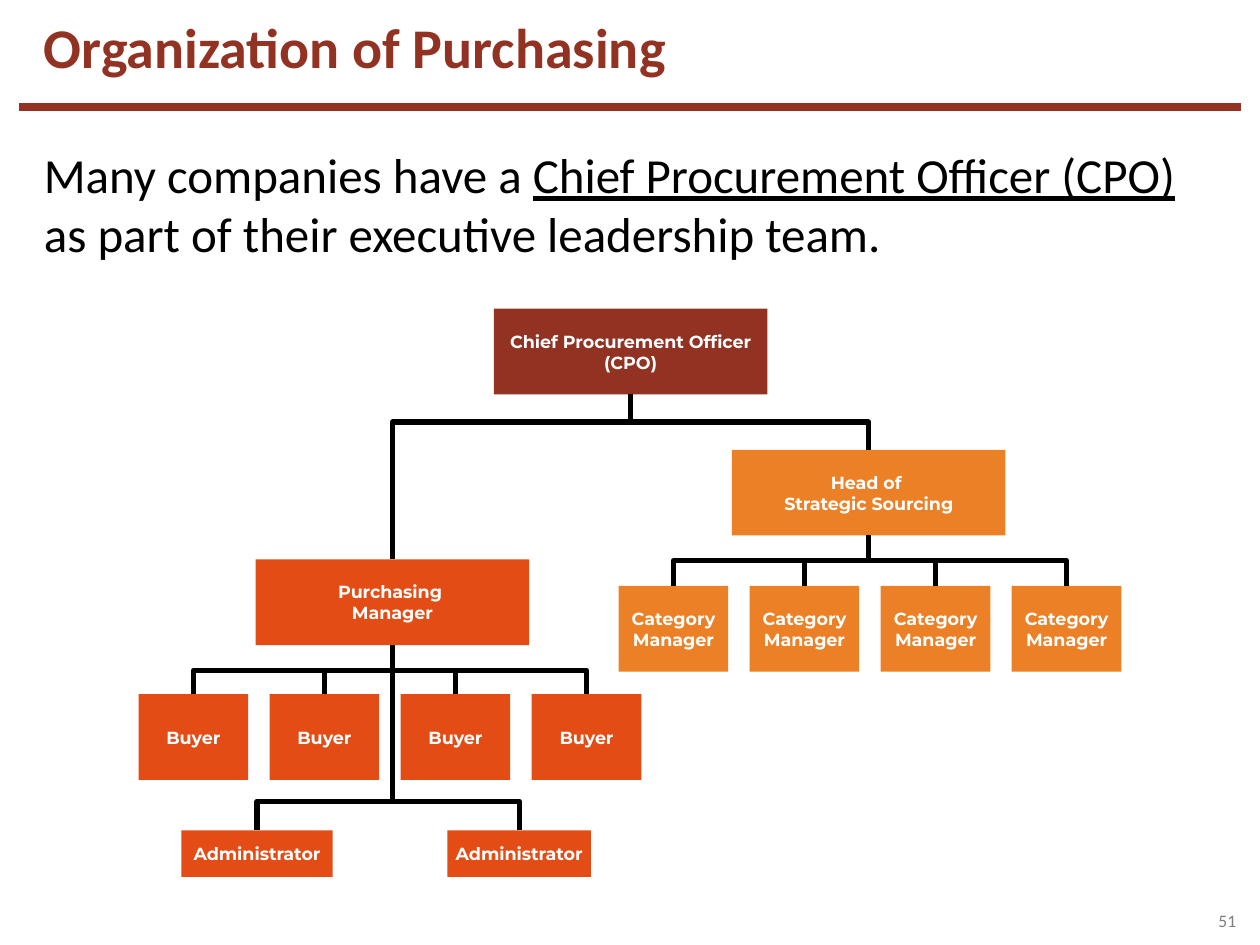
from dataclasses import dataclass

from lxml.etree import SubElement
from pptx import Presentation
from pptx.dml.color import RGBColor
from pptx.enum.shapes import MSO_CONNECTOR as Link, MSO_SHAPE as Preset
from pptx.enum.text import MSO_ANCHOR as Anchor, PP_ALIGN as Align
from pptx.oxml.ns import qn
from pptx.util import Inches, Pt

BRICK, ORANGE, RED = "923222", "EC8026", "E44C16"
BLACK, WHITE, GRAY = "000000", "FFFFFF", "7F7F7F"
TOP, BOTTOM = 0, 2  # connection sites of a rectangle

deck = Presentation()
deck.slide_width, deck.slide_height = Inches(10), Inches(7.5)
slide = deck.slides.add_slide(deck.slide_layouts[6])


@dataclass(frozen=True)
class Post:
    """A chart box, placed on a grid of 100 columns by 75 rows."""
    title: str
    col: float
    row: float
    cols: float
    rows: float
    color: str


def grid(units: float) -> int:
    """Length of a number of grid columns or rows."""
    return round(deck.slide_width / 100 * units)


def rgb(color: str) -> RGBColor:
    return RGBColor.from_string(color)


def write(shape, *paragraphs, size=10, font="Calibri", color=BLACK, bold=False,
          align=Align.LEFT, anchor=Anchor.TOP, margins=(0, 0),
          before=0, after=0, spacing=1.0) -> None:
    """Fill a shape with paragraphs, each a list of (text, underlined) runs."""
    frame = shape.text_frame
    frame.word_wrap = True
    frame.vertical_anchor = anchor
    frame.margin_left = frame.margin_right = grid(margins[0])
    frame.margin_top = frame.margin_bottom = grid(margins[1])
    for index, pieces in enumerate(paragraphs):
        line = frame.add_paragraph() if index else frame.paragraphs[0]
        line.alignment, line.line_spacing = align, spacing
        line.space_before, line.space_after = Pt(before), Pt(after)
        for text, underlined in pieces:
            run = line.add_run()
            run.text = text
            run.font.name, run.font.size = font, Pt(size)
            run.font.bold, run.font.underline = bold, underlined
            run.font.color.rgb = rgb(color)


def text_area(col: float, row: float, cols: float, rows: float):
    return slide.shapes.add_textbox(grid(col), grid(row), grid(cols), grid(rows))


def draw_post(post: Post):
    box = slide.shapes.add_shape(Preset.RECTANGLE, grid(post.col), grid(post.row),
                                 grid(post.cols), grid(post.rows))
    box.shadow.inherit = False
    box.fill.solid()
    box.fill.fore_color.rgb = rgb(post.color)
    box.line.fill.background()
    write(box, *([(line, False)] for line in post.title.split("\n")),
          font="Montserrat", color=WHITE, bold=True,
          align=Align.CENTER, anchor=Anchor.MIDDLE)
    return box


def style_line(line, color: str, width: float) -> None:
    line.line.color.rgb = rgb(color)
    line.line.width = Pt(width)
    SubElement(line._element.spPr, qn("a:effectLst"))


def report(boss, staff, bus_row: float) -> None:
    """Elbow from the boss down to a bus at bus_row, then down to the staff box."""
    elbow = slide.shapes.add_connector(Link.ELBOW, 0, 0, 0, 0)
    elbow.begin_connect(boss, BOTTOM)
    elbow.end_connect(staff, TOP)
    start_x, end_x = elbow.begin_x, elbow.end_x
    start_y, end_y = elbow.begin_y, elbow.end_y
    across, down = abs(end_x - start_x), end_y - start_y

    # The preset leaves sideways, so it is turned to leave downwards
    elbow.left = (start_x + end_x - down) // 2
    elbow.top = (start_y + end_y - across) // 2
    elbow.width, elbow.height = down, across
    xfrm = elbow._element.spPr.find(qn("a:xfrm"))
    xfrm.attrib.pop("flipH", None)
    to_right = end_x > start_x
    xfrm.set("rot", str((270 if to_right else 90) * 60000))
    if to_right:
        xfrm.set("flipH", "1")

    bend = round((grid(bus_row) - start_y) / down * 100000)
    guides = elbow._element.spPr.find(qn("a:prstGeom")).get_or_add_avLst()
    SubElement(guides, qn("a:gd"), name="adj1", fmla=f"val {bend}")
    style_line(elbow, BLACK, 3)


# Heading and its rule
rule = slide.shapes.add_connector(Link.STRAIGHT, grid(1.5), grid(8.5),
                                  grid(98.5), grid(8.5))
style_line(rule, BRICK, 4.5)
write(text_area(2.5, 1.4, 77.5, 5.4), [("Organization of Purchasing", False)],
      size=32, color=BRICK, bold=True, anchor=Anchor.BOTTOM,
      margins=(1, 0.5), spacing=0.8)

# Statement
write(text_area(2.5, 11, 95, 10.4),
      [("Many companies have a ", False),
       ("Chief Procurement Officer (CPO) ", True),
       ("as part of their executive leadership team.", False)],
      size=28, margins=(1, 0.5), after=12)

# Posts of the organization
LEAD, TEAM, HIGH, PITCH = 21.7, 8.7, 6.8, 10.4
cpo = draw_post(Post("Chief Procurement Officer (CPO)", 39.2, 24.5, LEAD, HIGH, BRICK))
sourcing_head = draw_post(
    Post("Head of \nStrategic Sourcing", 58.1, 35.7, LEAD, HIGH, ORANGE))
purchasing_manager = draw_post(
    Post("Purchasing \nManager", 20.3, 44.4, LEAD, HIGH, RED))
category_managers = [
    draw_post(Post("Category Manager", 49.1 + PITCH * n, 46.5, TEAM, HIGH, ORANGE))
    for n in range(4)]
buyers = [draw_post(Post("Buyer", 11 + PITCH * n, 55.1, TEAM, HIGH, RED))
          for n in range(4)]
administrators = [draw_post(Post("Administrator", col, 65.9, cols, 3.7, RED))
                  for col, cols in ((14.4, 12), (35.5, 11.4))]

# Reporting lines
for boss, team, bus_row in (
        (cpo, [sourcing_head, purchasing_manager], 33.5),
        (sourcing_head, category_managers, 44.5),
        (purchasing_manager, buyers, 53.2),
        (purchasing_manager, administrators, 63.6)):
    for member in team:
        report(boss, member, bus_row)

# Page number
write(text_area(96.7, 72.1, 2.1, 1.9), [("51", False)],
      color=GRAY, anchor=Anchor.MIDDLE)

deck.save("out.pptx")
